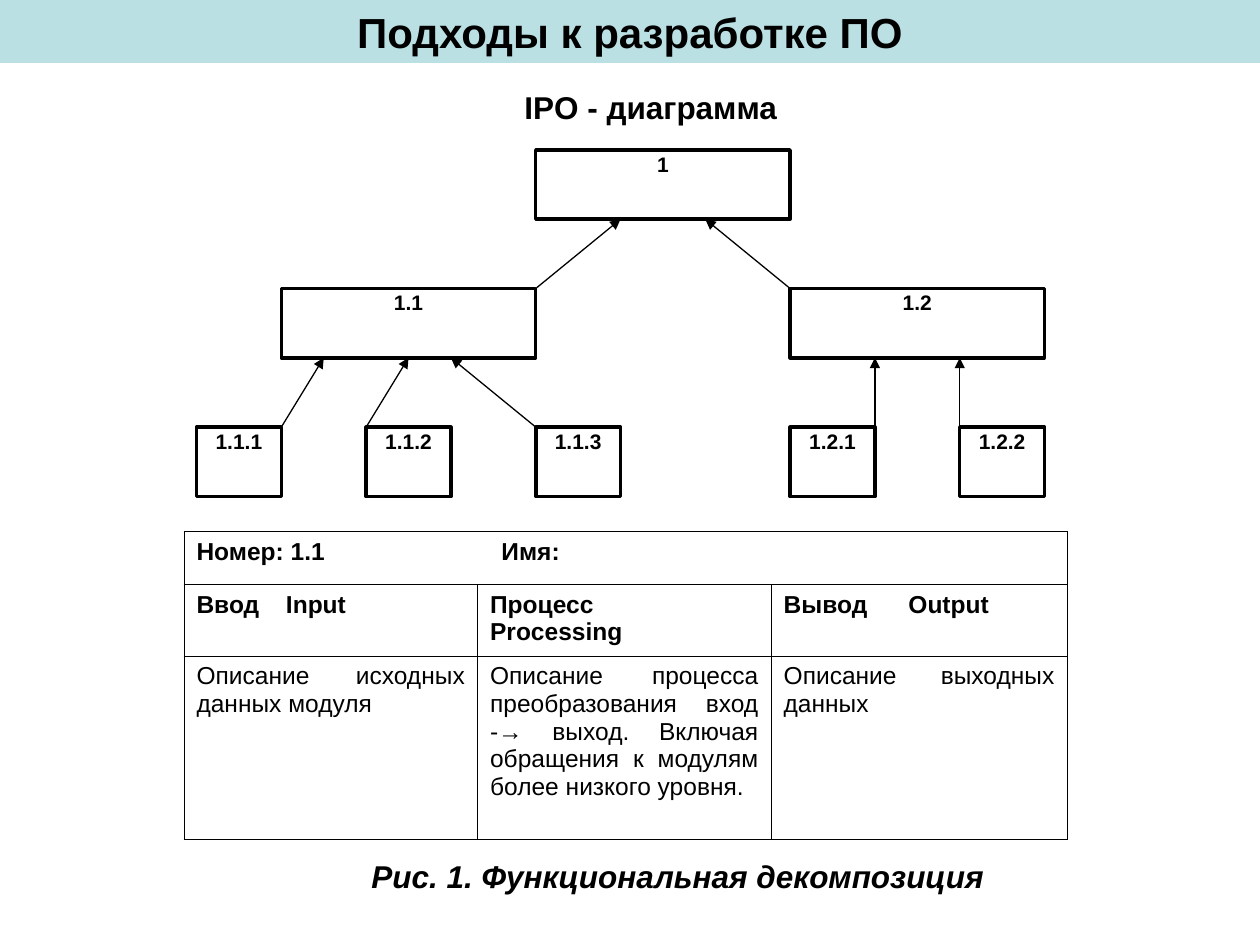
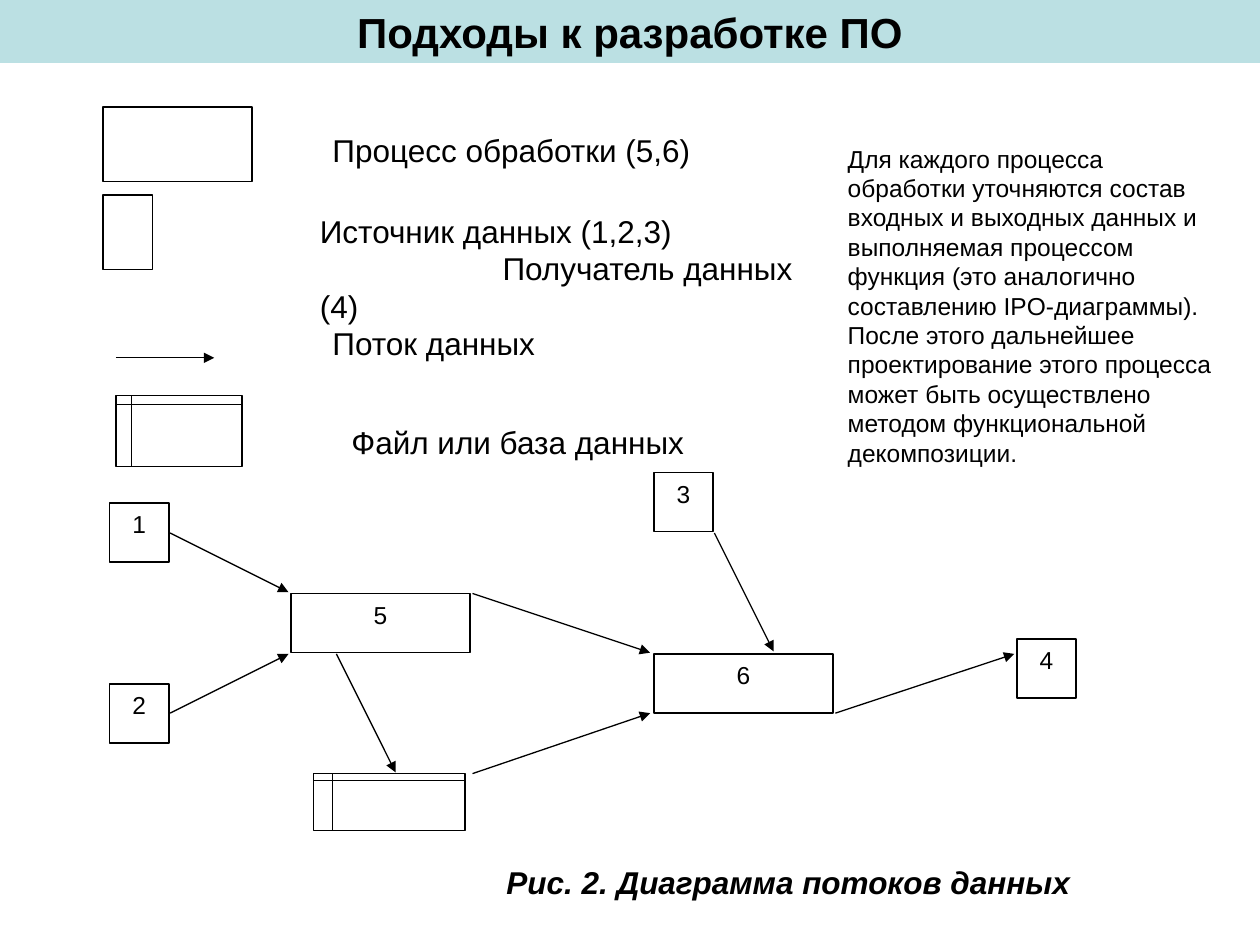
from typing import NamedTuple

from lxml import etree
from pptx import Presentation
from pptx import util as u
from pptx.dml.color import RGBColor
from pptx.enum import shapes, text
from pptx.oxml import ns

COLORS = {"band": "BBE0E3", "ink": "000000", "paper": "FFFFFF"}
FONT = "Arial"
TITLE = "Подходы к разработке ПО"
RECT = shapes.MSO_SHAPE.RECTANGLE
STORAGE = shapes.MSO_SHAPE.FLOWCHART_INTERNAL_STORAGE
LEFT, CENTER, JUSTIFY = text.PP_ALIGN.LEFT, text.PP_ALIGN.CENTER, text.PP_ALIGN.JUSTIFY


class Style(NamedTuple):
    size: float
    bold: bool = False
    italic: bool = False
    align: text.PP_ALIGN = LEFT


class Box(NamedTuple):
    x: float
    y: float
    w: float
    h: float
    label: str = ""
    kind: shapes.MSO_SHAPE = RECT
    line: float = 1


class Arrow(NamedTuple):
    x1: float
    y1: float
    x2: float
    y2: float


class Label(NamedTuple):
    x: float
    y: float
    w: float
    h: float
    lines: tuple[str, ...]
    style: Style = Style(18)
    last_indent: float = 0


class Cell(NamedTuple):
    label: str
    style: Style
    tab: float = 0


TITLE_STYLE = Style(24, bold=True, align=CENTER)
HEADING = Style(18, bold=True, align=CENTER)
CAPTION = Style(18, bold=True, italic=True)
NODE = Style(12, bold=True, align=CENTER)
FLOW = Style(14, align=CENTER)
HEAD_CELL = Style(14, bold=True)
BODY_CELL = Style(14, align=JUSTIFY)

TREE_X, TREE_Y, UNIT, LEVEL, NODE_H = 1.56, 1.19, 0.673, 1.1, 0.55
TREE_NODES = [
    ("1", 4, 0, 3),
    ("1.1", 1, 1, 3), ("1.2", 7, 1, 3),
    ("1.1.1", 0, 2, 1), ("1.1.2", 2, 2, 1), ("1.1.3", 4, 2, 1),
    ("1.2.1", 7, 2, 1), ("1.2.2", 9, 2, 1),
]
TREE_LINKS = [
    (1, 4, 5), (1, 7, 6),
    (2, 1, 1.5), (2, 2, 2.5), (2, 4, 3), (2, 8, 8), (2, 9, 9),
]
IPO_COLUMNS = [2.33, 2.33, 2.35]
IPO_ROWS = [0.42, 0.57, 1.45]
IPO_CELLS = [
    [Cell("Номер: 1.1\tИмя:", HEAD_CELL, 2.42)],
    [Cell("Ввод\tInput", HEAD_CELL, 0.71),
     Cell("Процесс\vProcessing", HEAD_CELL),
     Cell("Вывод\tOutput", HEAD_CELL, 0.99)],
    [Cell("Описание исходных данных модуля", BODY_CELL),
     Cell("Описание процесса преобразования вход -→ выход. Включая обращения "
          "к модулям более низкого уровня.", BODY_CELL),
     Cell("Описание выходных данных", BODY_CELL)],
]

SIDE, WIDE = 0.47, 1.42
LEGEND = [
    Box(0.82, 0.85, 1.18, 0.59),
    Box(0.82, 1.55, 0.39, 0.59),
    Box(0.92, 3.14, 1, 0.56, kind=STORAGE, line=0.75),
]
LEGEND_LABELS = [
    Label(2.54, 0.99, 3.79, 0.4, ("Процесс обработки (5,6)",)),
    Label(2.44, 1.63, 3.99, 1,
          ("Источник данных (1,2,3)", "Получатель данных (4)"), last_indent=1.45),
    Label(2.54, 2.52, 3, 0.4, ("Поток данных",)),
    Label(2.69, 3.31, 2.95, 0.4, ("Файл или база данных",)),
]
FLOW_BOXES = [
    Box(0.87, 3.99, SIDE, SIDE, "1"),
    Box(0.87, 5.43, SIDE, SIDE, "2"),
    Box(2.31, 4.71, WIDE, SIDE, "5"),
    Box(5.19, 3.75, SIDE, SIDE, "3"),
    Box(5.19, 5.19, WIDE, SIDE, "6"),
    Box(8.07, 5.07, SIDE, SIDE, "4"),
    Box(2.49, 6.14, 1.2, 0.45, kind=STORAGE, line=0.75),
]
FLOW_ARROWS = [
    Arrow(0.92, 2.84, 1.7, 2.84),
    Arrow(1.35, 4.23, 2.29, 4.7),
    Arrow(1.35, 5.66, 2.29, 5.19),
    Arrow(2.67, 5.19, 3.14, 6.13),
    Arrow(3.75, 4.71, 5.16, 5.18),
    Arrow(5.67, 4.23, 6.14, 5.17),
    Arrow(3.75, 6.14, 5.16, 5.66),
    Arrow(6.63, 5.66, 8.05, 5.19),
]
NOTE = (
    "Для каждого процесса обработки уточняются состав входных и выходных данных "
    "и выполняемая процессом функция (это аналогично составлению IPO-диаграммы). "
    "После этого дальнейшее проектирование этого процесса может быть осуществлено "
    "методом функциональной декомпозиции."
)


def color(name: str) -> RGBColor:
    return RGBColor.from_string(COLORS[name])


def inches(*values: float) -> list[u.Length]:
    return [u.Inches(v) for v in values]


def style_paragraph(p, style: Style) -> None:
    p.alignment = style.align
    p.font.name = FONT
    p.font.size = u.Pt(style.size)
    p.font.bold = style.bold
    p.font.italic = style.italic
    p.font.color.rgb = color("ink")


def set_margins(tf, x: float, y: float) -> None:
    tf.margin_left = tf.margin_right = u.Inches(x)
    tf.margin_top = tf.margin_bottom = u.Inches(y)


def add_box(s, box: Box, style: Style, margins: tuple[float, float] = (0.1, 0.05)) -> None:
    sp = s.shapes.add_shape(box.kind, *inches(box.x, box.y, box.w, box.h))
    sp.shadow.inherit = False
    sp.fill.solid()
    sp.fill.fore_color.rgb = color("paper")
    sp.line.color.rgb = color("ink")
    sp.line.width = u.Pt(box.line)
    if box.label:
        tf = sp.text_frame
        tf.vertical_anchor = text.MSO_ANCHOR.TOP
        set_margins(tf, *margins)
        tf.text = box.label
        style_paragraph(tf.paragraphs[0], style)


def add_arrow(s, arrow: Arrow) -> None:
    c = s.shapes.add_connector(shapes.MSO_CONNECTOR.STRAIGHT, *inches(*arrow))
    c.line.color.rgb = color("ink")
    c.line.width = u.Pt(0.75)
    properties = c._element.spPr
    etree.SubElement(properties.find(ns.qn("a:ln")), ns.qn("a:tailEnd"), type="triangle")
    etree.SubElement(properties, ns.qn("a:effectLst"))


def add_label(s, label: Label) -> None:
    sp = s.shapes.add_textbox(*inches(label.x, label.y, label.w, label.h))
    tf = sp.text_frame
    tf.word_wrap = True
    tf.text = "\n".join(label.lines)
    if label.last_indent:
        tf.paragraphs[-1]._p.get_or_add_pPr().set("indent", str(u.Inches(label.last_indent)))
    for p in tf.paragraphs:
        style_paragraph(p, label.style)


def add_slide(prs):
    s = prs.slides.add_slide(prs.slide_layouts[6])
    band = s.shapes.add_shape(RECT, 0, 0, prs.slide_width, u.Inches(0.5))
    band.shadow.inherit = False
    band.fill.solid()
    band.fill.fore_color.rgb = color("band")
    band.line.fill.background()
    tf = band.text_frame
    tf.text = TITLE
    style_paragraph(tf.paragraphs[0], TITLE_STYLE)
    return s


def fill_cell(cell, content: Cell) -> None:
    cell.text = content.label
    p = cell.text_frame.paragraphs[0]
    if content.tab:
        tabs = etree.SubElement(p._p.get_or_add_pPr(), ns.qn("a:tabLst"))
        etree.SubElement(tabs, ns.qn("a:tab"), pos=str(u.Inches(content.tab)), algn="l")
    style_paragraph(p, content.style)


def format_cell(cell) -> None:
    properties = cell._tc.get_or_add_tcPr()
    for side in ("lnL", "lnR", "lnT", "lnB"):
        line = etree.SubElement(properties, ns.qn(f"a:{side}"), w=str(u.Pt(0.45)))
        fill = etree.SubElement(line, ns.qn("a:solidFill"))
        etree.SubElement(fill, ns.qn("a:srgbClr"), val=COLORS["ink"])
    cell.fill.solid()
    cell.fill.fore_color.rgb = color("paper")


def add_ipo_table(s) -> None:
    frame = s.shapes.add_table(
        len(IPO_ROWS), len(IPO_COLUMNS),
        *inches(1.46, 4.22, sum(IPO_COLUMNS), sum(IPO_ROWS)))
    table = frame.table
    table.first_row = table.horz_banding = False
    for column, width in zip(table.columns, IPO_COLUMNS):
        column.width = u.Inches(width)
    for row, height in zip(table.rows, IPO_ROWS):
        row.height = u.Inches(height)
    table.cell(0, 0).merge(table.cell(0, len(IPO_COLUMNS) - 1))
    for cell in table.iter_cells():
        format_cell(cell)
    for r, contents in enumerate(IPO_CELLS):
        for c, content in enumerate(contents):
            fill_cell(table.cell(r, c), content)


def build_decomposition(prs) -> None:
    s = add_slide(prs)
    for name, col, level, units in TREE_NODES:
        box = Box(TREE_X + col * UNIT, TREE_Y + level * LEVEL, units * UNIT, NODE_H, name, line=2)
        add_box(s, box, NODE, (0.01, 0.01))
    for level, start, end in TREE_LINKS:
        y = TREE_Y + level * LEVEL
        add_arrow(s, Arrow(TREE_X + start * UNIT, y, TREE_X + end * UNIT, y - LEVEL + NODE_H))
    add_label(s, Label(2.65, 6.75, 5.46, 0.4, ("Рис. 1. Функциональная декомпозиция",),
                       CAPTION._replace(align=CENTER)))
    add_label(s, Label(3.54, 0.65, 3.25, 0.4, ("IPO - диаграмма",), HEADING))
    add_ipo_table(s)


def build_data_flow(prs) -> None:
    s = add_slide(prs)
    for box in LEGEND + FLOW_BOXES:
        add_box(s, box, FLOW)
    for arrow in FLOW_ARROWS:
        add_arrow(s, arrow)
    for label in LEGEND_LABELS:
        add_label(s, label)
    add_label(s, Label(3.92, 6.8, 5.32, 0.4, ("Рис. 2. Диаграмма потоков данных",), CAPTION))
    add_label(s, Label(6.63, 1.09, 3.2, 2.67, (NOTE,), Style(14)))


def main() -> None:
    prs = Presentation()
    prs.slide_width, prs.slide_height = inches(10, 7.5)
    build_decomposition(prs)
    build_data_flow(prs)
    prs.save("out.pptx")


if __name__ == "__main__":
    main()
